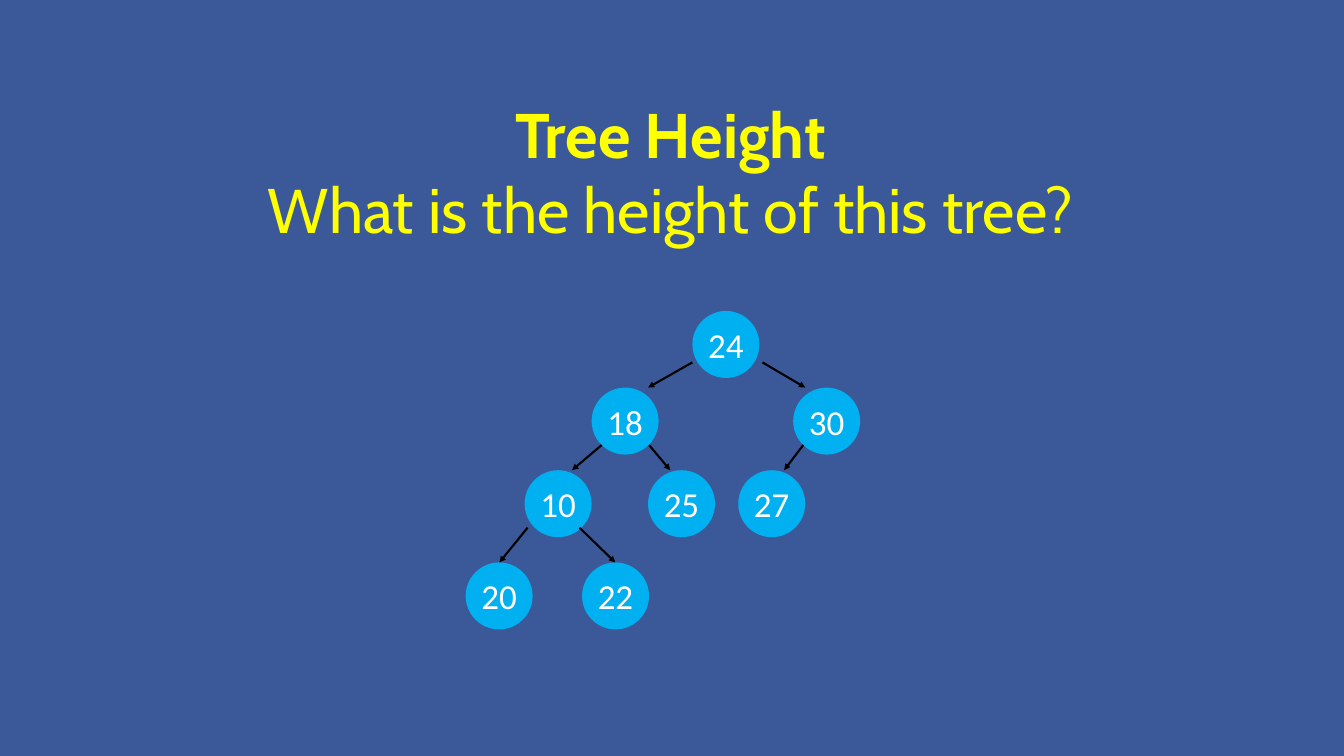
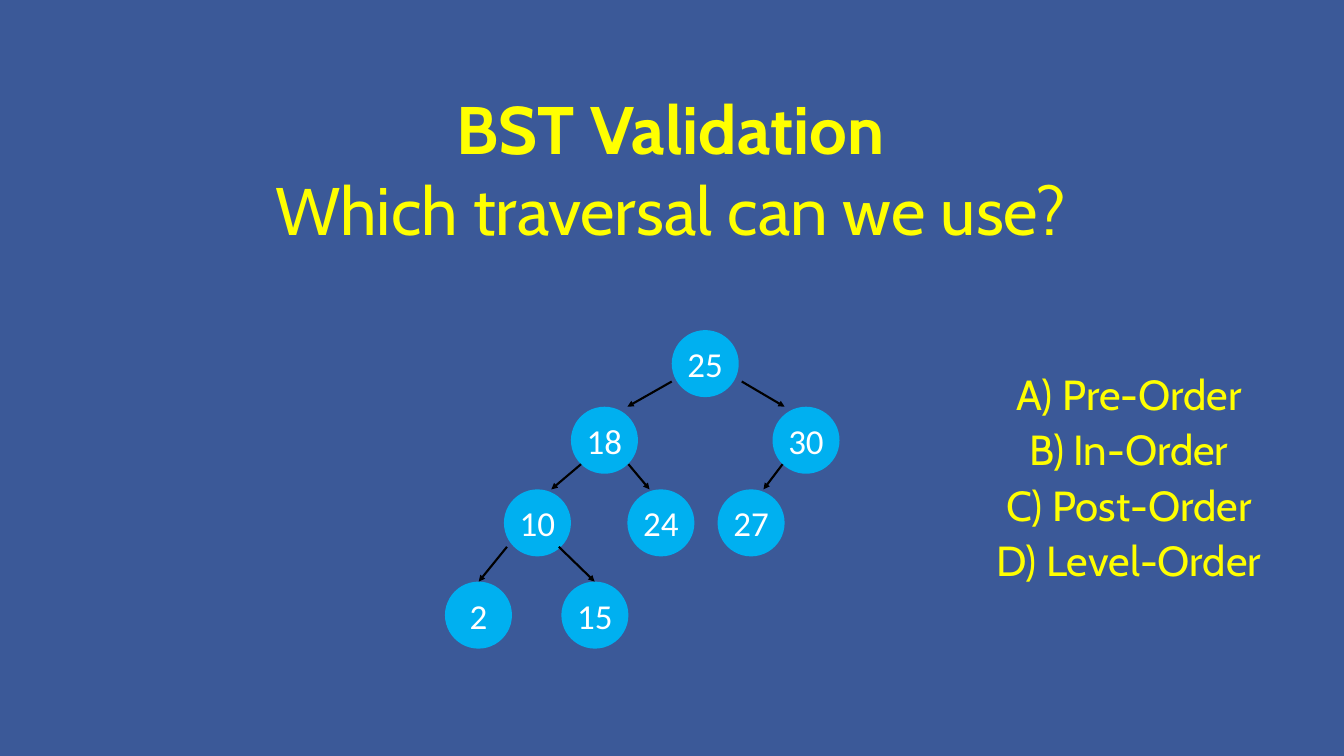
from lxml import etree
from pptx import Presentation
from pptx.dml.color import RGBColor
from pptx.enum.shapes import MSO_CONNECTOR, MSO_SHAPE
from pptx.enum.text import MSO_ANCHOR, MSO_AUTO_SIZE, PP_ALIGN
from pptx.oxml.ns import qn
from pptx.util import Inches, Pt

SLIDES = [
    {
        "title": "Tree Height",
        "question": "What is the height of this tree?",
        "title_size": 90,
        "tree_origin": (9.24, 6.17),
        "values": [24, 18, 30, 10, 25, 27, 20, 22],
        "options": [],
    },
    {
        "title": "BST Validation",
        "question": "Which traversal can we use?",
        "title_size": 96,
        "tree_origin": (8.83, 6.55),
        "values": [25, 18, 30, 10, 24, 27, 2, 15],
        "options": ["A) Pre-Order", "B) In-Order", "C) Post-Order", "D) Level-Order"],
    },
]

LEVEL_TOPS = [0, 1.52, 3.16, 4.99]
NODES = [(4.5, 0), (2.5, 1), (6.5, 1), (1.17, 2), (3.62, 2), (5.41, 2), (0, 3), (2.31, 3)]
EDGES = [
    (0, 1, 0, 1.02, 1.12),
    (0, 2, 1.39, 1.02, 0.24),
    (1, 3, 0.2, 1.14, 0.94),
    (1, 4, 1.14, 1.14, 0.44),
    (2, 5, 0.2, 1.14, 0.91),
    (3, 6, 0.06, 1.14, 0.67),
    (3, 7, 1.09, 1.14, 0.66),
]
COLORS = {
    "background": "3B5998",
    "heading": "FFFF00",
    "node": "00B0F0",
    "value": "FFFFFF",
    "arrow": "000000",
}
HEADING_FONT = "Cabin"
NODE_FONT = "Calibri"
NODE_SIZE = 1.33
TITLE_ONLY_LAYOUT = 5
CENTER = PP_ALIGN.CENTER
MIDDLE = MSO_ANCHOR.MIDDLE
STRAIGHT = MSO_CONNECTOR.STRAIGHT
OVAL = MSO_SHAPE.OVAL
NO_AUTO_SIZE = MSO_AUTO_SIZE.NONE
GROW = MSO_AUTO_SIZE.SHAPE_TO_FIT_TEXT


def color(name):
    return RGBColor.from_string(COLORS[name])


def write(shape, lines, font, size, fill, bold_first=False, inset=0, bottom=0,
          spacing=None, auto_size=NO_AUTO_SIZE):
    frame = shape.text_frame
    frame.word_wrap = True
    frame.auto_size = auto_size
    frame.vertical_anchor = MIDDLE
    frame.margin_left = frame.margin_right = frame.margin_top = Inches(inset)
    frame.margin_bottom = Inches(inset + bottom)
    paragraph = frame.paragraphs[0]
    paragraph.alignment = CENTER
    if spacing:
        paragraph.line_spacing = spacing
    for index, line in enumerate(lines):
        if index:
            paragraph.add_line_break()
        run = paragraph.add_run()
        run.text = line
        run.font.name = font
        run.font.size = Pt(size)
        run.font.bold = bold_first and index == 0
        run.font.color.rgb = color(fill)


def add_title(slide, content):
    title = slide.shapes.title
    title.left, title.top = Inches(-0.03), Inches(2.89)
    title.width, title.height = Inches(26.67), Inches(2.5)
    line_height = content["title_size"] / 60
    write(title, [content["title"], content["question"]], HEADING_FONT,
          content["title_size"], "heading", bold_first=True, bottom=line_height)


def add_node(slide, left, top, value):
    node = slide.shapes.add_shape(OVAL, Inches(left), Inches(top),
                                  Inches(NODE_SIZE), Inches(NODE_SIZE))
    node.shadow.inherit = False
    node.fill.solid()
    node.fill.fore_color.rgb = color("node")
    node.line.fill.background()
    write(node, [str(value)], NODE_FONT, 50, "value", inset=0.08)


def add_arrow(slide, *ends):
    arrow = slide.shapes.add_connector(STRAIGHT, *[Inches(end) for end in ends])
    arrow.line.color.rgb = color("arrow")
    arrow.line.width = Pt(3)
    properties = arrow._element.spPr
    etree.SubElement(properties.find(qn("a:ln")), qn("a:tailEnd"), type="triangle")
    etree.SubElement(properties, qn("a:effectLst"))


def add_tree(slide, origin, values):
    left, top = origin
    places = [(left + offset, top + LEVEL_TOPS[level]) for offset, level in NODES]
    for place, value in zip(places, values):
        add_node(slide, *place, value)
    for parent, child, start, drop, end in EDGES:
        parent_left, parent_top = places[parent]
        child_left, child_top = places[child]
        add_arrow(slide, parent_left + start, parent_top + drop, child_left + end, child_top)


def add_options(slide, options):
    box = slide.shapes.add_textbox(Inches(19.33), Inches(7.19), Inches(6.14), Inches(4.44))
    write(box, options, HEADING_FONT, 60, "heading", spacing=1.1, auto_size=GROW)


presentation = Presentation()
presentation.slide_width = Inches(26.67)
presentation.slide_height = Inches(15)
background = presentation.slide_master.background.fill
background.solid()
background.fore_color.rgb = color("background")

for content in SLIDES:
    slide = presentation.slides.add_slide(presentation.slide_layouts[TITLE_ONLY_LAYOUT])
    add_title(slide, content)
    add_tree(slide, content["tree_origin"], content["values"])
    if content["options"]:
        add_options(slide, content["options"])

presentation.save("out.pptx")
